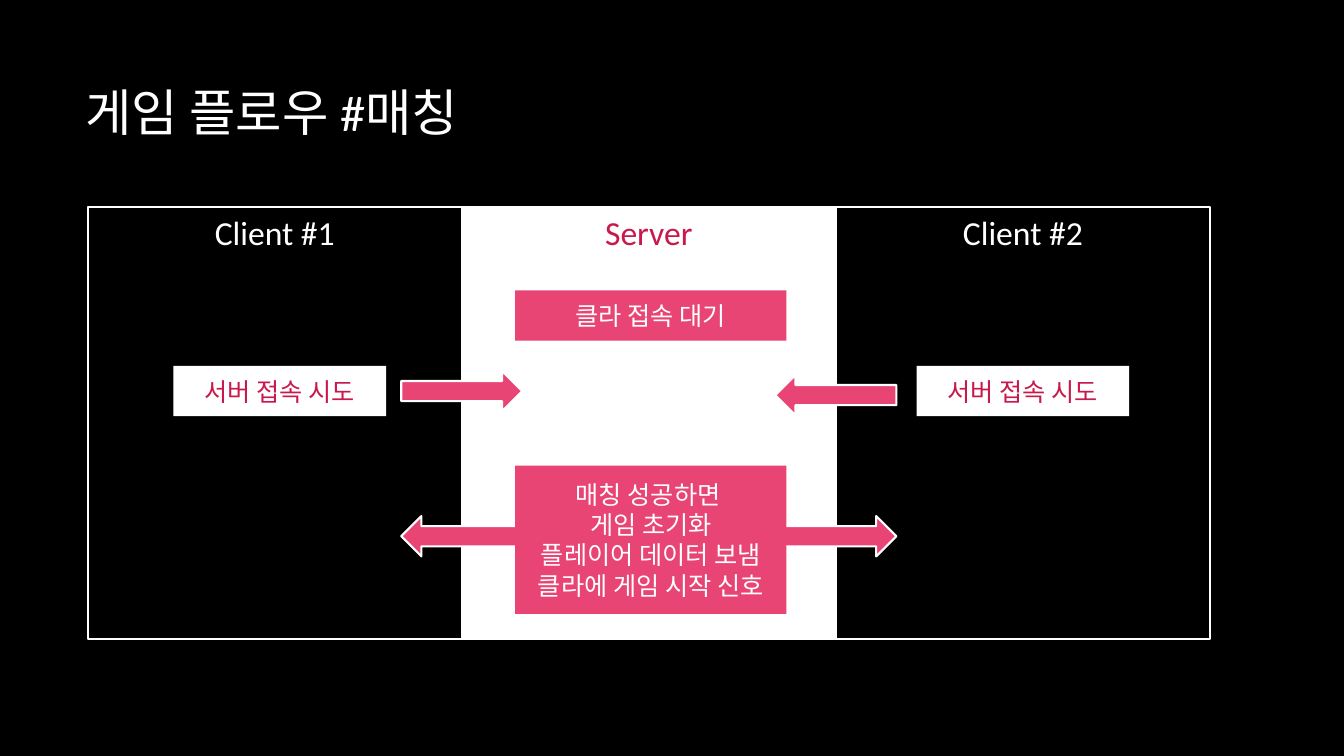
from dataclasses import dataclass
from pptx import Presentation
from pptx.dml.color import RGBColor
from pptx.enum.shapes import MSO_SHAPE
from pptx.enum.text import MSO_ANCHOR, PP_ALIGN
from pptx.util import Inches, Pt

RECT, RIGHT, LEFT = MSO_SHAPE.RECTANGLE, MSO_SHAPE.RIGHT_ARROW, MSO_SHAPE.LEFT_ARROW
TOP, MIDDLE = MSO_ANCHOR.TOP, MSO_ANCHOR.MIDDLE
START, CENTER = PP_ALIGN.LEFT, PP_ALIGN.CENTER


@dataclass(frozen=True)
class Theme:
    font: str = "Calibri"
    dark: str = "000000"
    light: str = "FFFFFF"
    pink: str = "E84574"
    red: str = "C9194C"
    title: int = 36
    head: int = 24
    body: int = 18
    edge: float = 1.5


THEME = Theme()
CELL = 0.1  # inches per grid column and row


def grid(*cells):
    return [Inches(n * CELL) for n in cells]


def paint(fill, color):
    if color:
        fill.solid()
        fill.fore_color.rgb = RGBColor.from_string(color)
    else:
        fill.background()


def write(frame, lines, size, color, anchor=MIDDLE, align=CENTER):
    frame.word_wrap = True
    frame.vertical_anchor = anchor
    style = {"name": THEME.font, "size": Pt(size)}
    for i, line in enumerate(lines):
        para = frame.paragraphs[0] if i == 0 else frame.add_paragraph()
        para.alignment = align
        run = para.add_run()
        run.text = line
        for key, value in style.items():
            setattr(run.font, key, value)
        run.font.color.rgb = RGBColor.from_string(color)


def block(slide, kind, box, fill=None, edge=None):
    shape = slide.shapes.add_shape(kind, *grid(*box))
    shape.shadow.inherit = False
    paint(shape.fill, fill)
    paint(shape.line.fill, edge)
    if edge:
        shape.line.width = Pt(THEME.edge)
    return shape


def title(slide, box, text):
    frame = slide.shapes.add_textbox(*grid(*box)).text_frame
    write(frame, [text], THEME.title, THEME.light, align=START)


def lanes(slide, box):
    """Three equal columns, with the server in the middle."""
    left, top, width, height = box
    step = width / 3
    for col, name, fill, ink in (
        (1, "Server", THEME.light, THEME.red),
        (2, "Client #2", None, THEME.light),
        (0, "Client #1", None, THEME.light),
    ):
        lane = block(slide, RECT, (left + col * step, top, step, height),
                     fill, THEME.light)
        write(lane.text_frame, [name], THEME.head, ink, TOP)


def arrows(slide, box):
    left, top = box[:2]
    for kind, x, y in (
        (RIGHT, 31.1, 16.3), (RIGHT, 68.2, 30.7),
        (LEFT, 68.2, 16.7), (LEFT, 31.1, 30.7),
    ):
        block(slide, kind, (left + x, top + y, 12, 4), THEME.pink, THEME.light)


def steps(slide, box):
    left, top = box[:2]
    server = THEME.pink, THEME.light
    client = THEME.light, THEME.red
    join = ["서버 접속 시도"]
    match = ["매칭 성공하면 ", "게임 초기화", "플레이어 데이터 보냄", "클라에 게임 시작 신호"]
    for x, y, width, height, (fill, ink), lines in (
        (42.4, 8.3, 26.9, 5, server, ["클라 접속 대기"]),
        (8.5, 15.8, 21.1, 5, client, join),
        (82.2, 15.8, 21.1, 5, client, join),
        (42.4, 25.7, 26.9, 14.7, server, match),
    ):
        card = block(slide, RECT, (left + x, top + y, width, height), fill)
        write(card.text_frame, lines, THEME.body, ink)


def main():
    deck = Presentation()
    deck.slide_width, deck.slide_height = Inches(13.33), Inches(7.5)
    slide = deck.slides.add_slide(deck.slide_layouts[6])
    paint(slide.background.fill, THEME.dark)
    title(slide, (7.5, 6.7, 110.8, 8.6), "게임 플로우 #매칭")
    flow = (8.7, 20.5, 111.3, 42.9)
    for part in (lanes, arrows, steps):
        part(slide, flow)
    deck.save("out.pptx")


if __name__ == "__main__":
    main()
